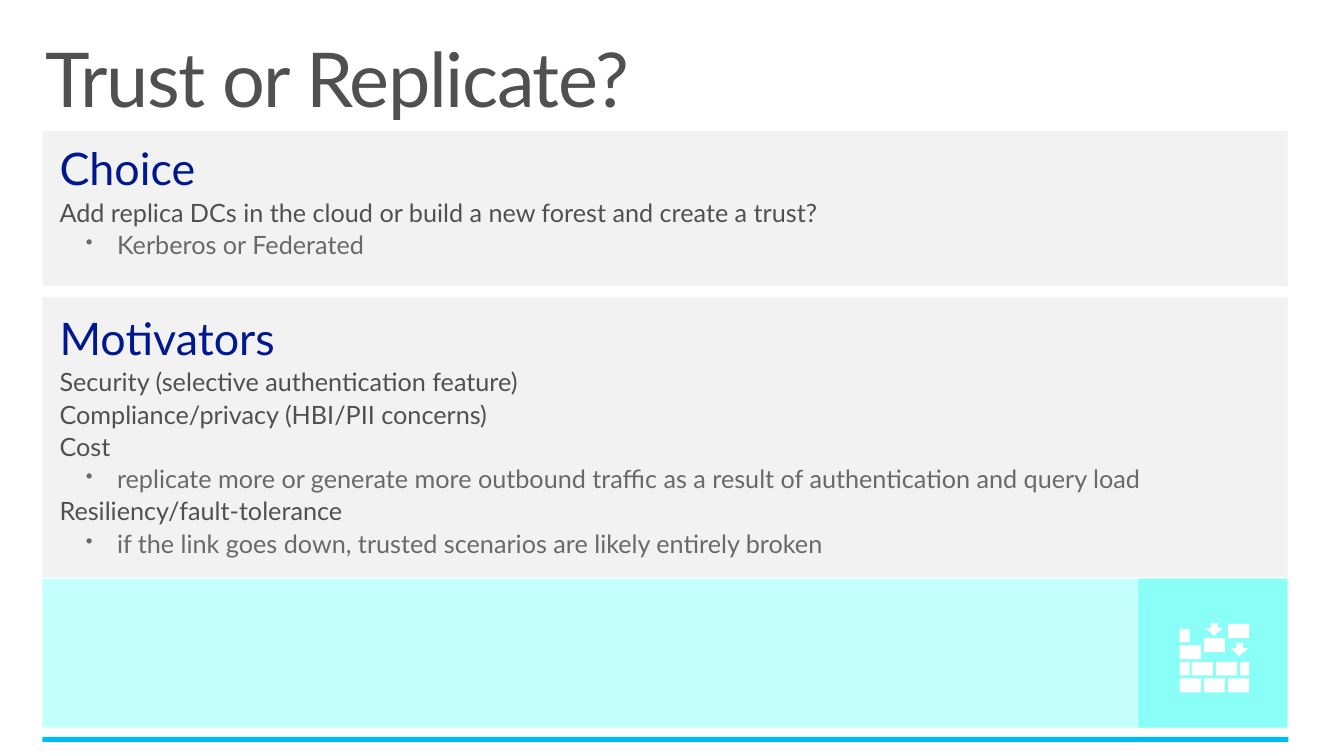
"""Build the "Trust or Replicate?" slide."""
from dataclasses import dataclass
from typing import Any

from lxml.etree import SubElement
from pptx import Presentation
from pptx.dml.color import RGBColor as RGB
from pptx.enum.text import MSO_ANCHOR as Anchor, MSO_AUTO_SIZE as AutoSize
from pptx.oxml.ns import qn
from pptx.util import Inches, Pt

WHITE = RGB(0xFF, 0xFF, 0xFF)
PANEL_GREY = RGB(0xF2, 0xF2, 0xF2)
PALE_CYAN = RGB(0xC4, 0xFF, 0xFC)
CYAN = RGB(0x89, 0xFF, 0xF8)
BAR_BLUE = RGB(0x00, 0xBC, 0xF2)
NAVY = RGB(0x00, 0x18, 0x8F)
DARK_GREY = RGB(0x50, 0x50, 0x50)
MID_GREY = RGB(0x69, 0x69, 0x69)

SLIDE_WIDTH, SLIDE_HEIGHT = Inches(13.33), Inches(7.5)
FONT = "Lato"
LEFT, WIDTH = 3.15, 92.65
TEXT_LEFT, TEXT_WIDTH = 4.43, 91.45
ICON_UNIT = Inches(0.01)


@dataclass(frozen=True)
class Area:
    """A rectangle in percent of the slide's width and height."""
    left: float
    top: float
    width: float
    height: float

    def lengths(self) -> tuple[int, int, int, int]:
        """Return left, top, width and height as lengths."""
        return (round(SLIDE_WIDTH * self.left / 100), round(SLIDE_HEIGHT * self.top / 100),
                round(SLIDE_WIDTH * self.width / 100), round(SLIDE_HEIGHT * self.height / 100))


@dataclass(frozen=True)
class Block:
    """A filled rectangle."""
    area: Area
    color: RGB


@dataclass(frozen=True)
class Style:
    """The look of one text level."""
    size: float
    color: RGB
    level: int = 0
    bullet: bool = False
    spacing: int = 0


@dataclass(frozen=True)
class TextBox:
    """A text box with its styled lines and its margins in inches."""
    area: Area
    lines: list[tuple[Style, str]]
    side_margin: float = 0
    top_margin: float = 0
    auto_size: AutoSize = AutoSize.SHAPE_TO_FIT_TEXT


@dataclass(frozen=True)
class Brick:
    """A brick of the wall icon in icon units."""
    left: int
    top: int
    width: int = 21
    height: int = 14


TITLE = Style(54, DARK_GREY, spacing=-100)
HEADING = Style(32, NAVY)
ITEM = Style(18, DARK_GREY, level=1)
DETAIL = Style(18, MID_GREY, level=2, bullet=True)

BLOCKS = [
    Block(Area(LEFT, 17.33, WIDTH, 20.53), PANEL_GREY),
    Block(Area(LEFT, 97.47, 92.72, 0.67), BAR_BLUE),
    Block(Area(LEFT, 76.53, WIDTH, 19.73), PALE_CYAN),
    Block(Area(84.7, 76.53, 11.1, 19.73), CYAN),
    Block(Area(LEFT, 39.33, WIDTH, 37.07), PANEL_GREY),
]
TEXT_BOXES = [
    TextBox(Area(2.18, 4.27, 95.57, 13.07), [(TITLE, "Trust or Replicate?")],
            0.16, 0.1, AutoSize.NONE),
    TextBox(Area(TEXT_LEFT, 19.47, TEXT_WIDTH, 15.33), [
        (HEADING, "Choice"),
        (ITEM, "Add replica DCs in the cloud or build a new forest and create a trust?"),
        (DETAIL, "Kerberos or Federated"),
    ]),
    TextBox(Area(TEXT_LEFT, 41.87, TEXT_WIDTH, 37.6), [
        (HEADING, "Motivators"),
        (ITEM, "Security (selective authentication feature)"),
        (ITEM, "Compliance/privacy (HBI/PII concerns)"),
        (ITEM, "Cost"),
        (DETAIL, "replicate more or generate more outbound traffic as a result of "
                 "authentication and query load"),
        (ITEM, "Resiliency/fault-tolerance"),
        (DETAIL, "if the link goes down, trusted scenarios are likely entirely broken"),
    ]),
]
ICON_AREA = Area(87.77, 82.4, 5.18, 9.2)
BRICKS = [
    *(Brick(column * 24, 55) for column in range(3)),
    Brick(0, 39, 10, 13), Brick(12, 39, height=13),
    Brick(36, 39, height=13), Brick(60, 39, 9, 13),
    Brick(0, 22), Brick(24, 15), Brick(48, 1), Brick(0, 6, 10, 13),
]
ARROW_TIPS = [(34, 13), (59, 33)]
ARROW_OUTLINE = [(0, 0), (9, -8), (4, -8), (4, -13), (-3, -13), (-3, -8), (-8, -8)]


def apply(target: Any, values: dict[str, Any]) -> None:
    """Set each named attribute of the target."""
    for name, value in values.items():
        setattr(target, name, value)


def paint(shape: Any, color: RGB) -> None:
    """Give a shape a plain fill without line or shadow."""
    shape.shadow.inherit = False
    shape.fill.solid()
    shape.fill.fore_color.rgb = color
    shape.line.fill.background()


def add_block(slide: Any, block: Block) -> None:
    """Draw a filled rectangle."""
    paint(slide.shapes.add_shape(1, *block.area.lengths()), block.color)


def add_line(paragraph: Any, style: Style, text: str, first: bool) -> None:
    """Write one styled paragraph."""
    properties = paragraph._p.get_or_add_pPr()
    margin, indent = (0.57, -0.31) if style.bullet else (0, 0)
    properties.set("marL", str(Inches(margin)))
    properties.set("indent", str(Inches(indent)))
    if style.bullet:
        SubElement(properties, qn("a:buSzPct")).set("val", "80000")
        SubElement(properties, qn("a:buChar")).set("char", "•")
    apply(paragraph, {"level": style.level, "line_spacing": 0.9,
                      "space_before": Pt(0 if first else style.size * 0.2)})
    run = paragraph.add_run()
    run.text = text
    apply(run.font, {"name": FONT, "size": Pt(style.size)})
    run.font.color.rgb = style.color
    if style.spacing:
        run.font._element.set("spc", str(style.spacing))


def add_text_box(slide: Any, box: TextBox) -> None:
    """Draw a text box with all its lines."""
    frame = slide.shapes.add_textbox(*box.area.lengths()).text_frame
    side, top = Inches(box.side_margin), Inches(box.top_margin)
    apply(frame, {"word_wrap": True, "auto_size": box.auto_size,
                  "vertical_anchor": Anchor.TOP, "margin_left": side,
                  "margin_right": side, "margin_top": top, "margin_bottom": top})
    for index, (style, text) in enumerate(box.lines):
        paragraph = frame.add_paragraph() if index else frame.paragraphs[0]
        add_line(paragraph, style, text, index == 0)


def brick_outline(brick: Brick) -> list[tuple[int, int]]:
    """Return the four corners of a brick."""
    right, bottom = brick.left + brick.width, brick.top + brick.height
    return [(brick.left, brick.top), (right, brick.top), (right, bottom), (brick.left, bottom)]


def add_wall_icon(slide: Any) -> None:
    """Draw the brick wall with its falling arrows as one freeform."""
    outlines = [brick_outline(brick) for brick in BRICKS]
    outlines += [[(x + dx, y + dy) for dx, dy in ARROW_OUTLINE] for x, y in ARROW_TIPS]
    builder = slide.shapes.build_freeform(*outlines[0][0], scale=ICON_UNIT)
    for index, (start, *others) in enumerate(outlines):
        if index:
            builder.move_to(*start)
        builder.add_line_segments(others, close=True)
    left, top, *_ = ICON_AREA.lengths()
    paint(builder.convert_to_shape(left, top), WHITE)


def main() -> None:
    """Build and save the presentation."""
    presentation = Presentation()
    apply(presentation, {"slide_width": SLIDE_WIDTH, "slide_height": SLIDE_HEIGHT})
    slide = presentation.slides.add_slide(presentation.slide_layouts[6])
    for block in BLOCKS:
        add_block(slide, block)
    for box in TEXT_BOXES:
        add_text_box(slide, box)
    add_wall_icon(slide)
    presentation.save("out.pptx")


if __name__ == "__main__":
    main()
